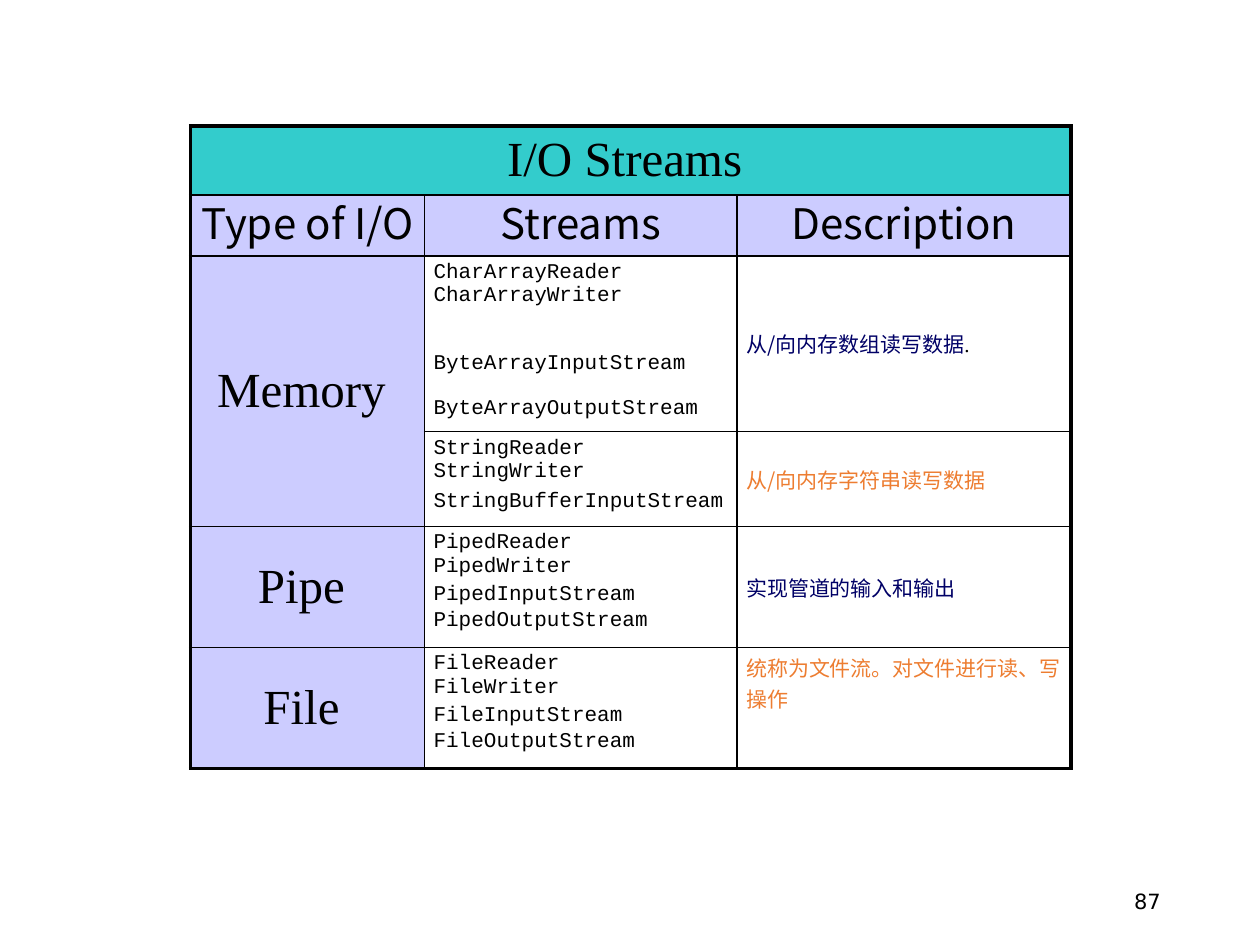
from dataclasses import dataclass

from lxml import etree
from pptx import Presentation
from pptx.dml.color import RGBColor
from pptx.enum.text import MSO_ANCHOR, PP_ALIGN
from pptx.oxml.ns import qn
from pptx.util import Cm, Pt

LEFT, CENTER, RIGHT = PP_ALIGN.LEFT, PP_ALIGN.CENTER, PP_ALIGN.RIGHT
TOP, MIDDLE = MSO_ANCHOR.TOP, MSO_ANCHOR.MIDDLE

COLORS = {
    "black": "000000",
    "white": "FFFFFF",
    "teal": "33CCCC",
    "lavender": "CCCCFF",
    "navy": "000066",
    "orange": "ED7D31",
}
SERIF, SANS, CODE, NUMBER = "Times New Roman", "Noto Sans CJK SC", "Courier New", "DejaVu Sans"
THIN, THICK = 1, 2.25
COLUMN_WIDTHS = (4.72, 6.3, 6.73)
ROW_HEIGHTS = (1.37, 1.23, 3.53, 1.91, 2.44, 2.44)


@dataclass(frozen=True)
class Style:
    font: str
    size: float
    color: str = "black"
    fill: str = "white"
    align: PP_ALIGN = LEFT
    anchor: MSO_ANCHOR = MIDDLE
    line_spacing: float = 1.0


@dataclass(frozen=True)
class Line:
    text: str
    space_before: float = 0


@dataclass(frozen=True)
class Entry:
    row: int
    column: int
    lines: tuple[Line, ...]
    style: Style


TITLE = Style(SERIF, 28, fill="teal", align=CENTER)
HEADING = Style(SANS, 24, fill="lavender", align=CENTER, line_spacing=0.8)
CATEGORY = Style(SERIF, 28, fill="lavender", align=CENTER)
CLASSES = Style(CODE, 12, anchor=TOP)
NAVY_NOTE = Style(SANS, 12, "navy")
ORANGE_NOTE = Style(SANS, 12, "orange")
TOP_NOTE = Style(SANS, 12, "orange", anchor=TOP)
PAGE_NUMBER = Style(NUMBER, 12, align=RIGHT)


def class_lines(prefix: str) -> tuple[Line, ...]:
    return (
        Line(f"{prefix}Reader"),
        Line(f"{prefix}Writer"),
        Line(f"{prefix}InputStream", 2.4),
        Line(f"{prefix}OutputStream", 1.2),
    )


ENTRIES = (
    Entry(0, 0, (Line("I/O Streams "),), TITLE),
    Entry(1, 0, (Line("Type of I/O"),), HEADING),
    Entry(1, 1, (Line("Streams"),), HEADING),
    Entry(1, 2, (Line("Description"),), HEADING),
    Entry(2, 0, (Line("Memory "),), CATEGORY),
    Entry(2, 1, (
        Line("CharArrayReader"),
        Line("CharArrayWriter"),
        Line("ByteArrayInputStream", 25.2),
        Line("ByteArrayOutputStream", 12),
    ), CLASSES),
    Entry(2, 2, (Line("从/向内存数组读写数据"),), NAVY_NOTE),
    Entry(3, 1, (
        Line("StringReader"),
        Line("StringWriter"),
        Line("StringBufferInputStream", 3.5),
    ), CLASSES),
    Entry(3, 2, (Line("从/向内存字符串读写数据"),), ORANGE_NOTE),
    Entry(4, 0, (Line("Pipe "),), CATEGORY),
    Entry(4, 1, class_lines("Piped"), CLASSES),
    Entry(4, 2, (Line("实现管道的输入和输出"),), NAVY_NOTE),
    Entry(5, 0, (Line("File "),), CATEGORY),
    Entry(5, 1, class_lines("File"), CLASSES),
    Entry(5, 2, (Line("统称为文件流。对文件进行读、写操作"),), TOP_NOTE),
)


def format_run(run, font: str, size: float, color: str) -> None:
    run.font.name = font
    run.font.size = Pt(size)
    run.font.color.rgb = RGBColor.from_string(COLORS[color])
    east_asian = etree.SubElement(run.font._element, qn("a:ea"))
    east_asian.set("typeface", SANS)


def write_lines(text_frame, lines: tuple[Line, ...], style: Style) -> None:
    for index, line in enumerate(lines):
        paragraph = text_frame.add_paragraph() if index else text_frame.paragraphs[0]
        paragraph.text = line.text
        paragraph.alignment = style.align
        paragraph.line_spacing = style.line_spacing
        if line.space_before:
            paragraph.space_before = Pt(line.space_before)
        for run in paragraph.runs:
            format_run(run, style.font, style.size, style.color)


def draw_borders(cell, row: int, column: int) -> None:
    outer_edges = {
        "L": column == 0,
        "R": column + cell.span_width == len(COLUMN_WIDTHS),
        "T": row == 0,
        "B": row + cell.span_height == len(ROW_HEIGHTS),
    }
    properties = cell._tc.get_or_add_tcPr()
    for side, is_outer in outer_edges.items():
        border = etree.SubElement(properties, qn(f"a:ln{side}"))
        border.set("w", str(Pt(THICK if is_outer else THIN)))
        solid = etree.SubElement(border, qn("a:solidFill"))
        etree.SubElement(solid, qn("a:srgbClr")).set("val", COLORS["black"])


def fill_entry(table, entry: Entry) -> None:
    cell = table.cell(entry.row, entry.column)
    cell.vertical_anchor = entry.style.anchor
    cell.margin_left = cell.margin_right = Cm(0.18)
    cell.margin_top = cell.margin_bottom = Cm(0.1)
    cell.fill.solid()
    cell.fill.fore_color.rgb = RGBColor.from_string(COLORS[entry.style.fill])
    write_lines(cell.text_frame, entry.lines, entry.style)


def add_streams_table(slide) -> None:
    table = slide.shapes.add_table(
        len(ROW_HEIGHTS), len(COLUMN_WIDTHS), Cm(3.84), Cm(2.54),
        Cm(sum(COLUMN_WIDTHS)), Cm(sum(ROW_HEIGHTS)),
    ).table
    table.first_row = table.horz_banding = False
    for column, width in zip(table.columns, COLUMN_WIDTHS):
        column.width = Cm(width)
    for row, height in zip(table.rows, ROW_HEIGHTS):
        row.height = Cm(height)
    table.cell(0, 0).merge(table.cell(0, 2))
    table.cell(2, 0).merge(table.cell(3, 0))
    for row in range(len(ROW_HEIGHTS)):
        for column in range(len(COLUMN_WIDTHS)):
            draw_borders(table.cell(row, column), row, column)
    for entry in ENTRIES:
        fill_entry(table, entry)
    full_stop = table.cell(2, 2).text_frame.paragraphs[0].add_run()
    full_stop.text = "."
    format_run(full_stop, SERIF, 12, "black")


def add_page_number(slide) -> None:
    text_frame = slide.shapes.add_textbox(Cm(17.93), Cm(17.65), Cm(5.72), Cm(1.02)).text_frame
    text_frame.word_wrap = True
    text_frame.vertical_anchor = MIDDLE
    write_lines(text_frame, (Line("87"),), PAGE_NUMBER)


def main() -> None:
    presentation = Presentation()
    presentation.slide_width, presentation.slide_height = Cm(25.4), Cm(19.05)
    slide = presentation.slides.add_slide(presentation.slide_layouts[6])
    add_page_number(slide)
    add_streams_table(slide)
    presentation.save("out.pptx")


if __name__ == "__main__":
    main()
